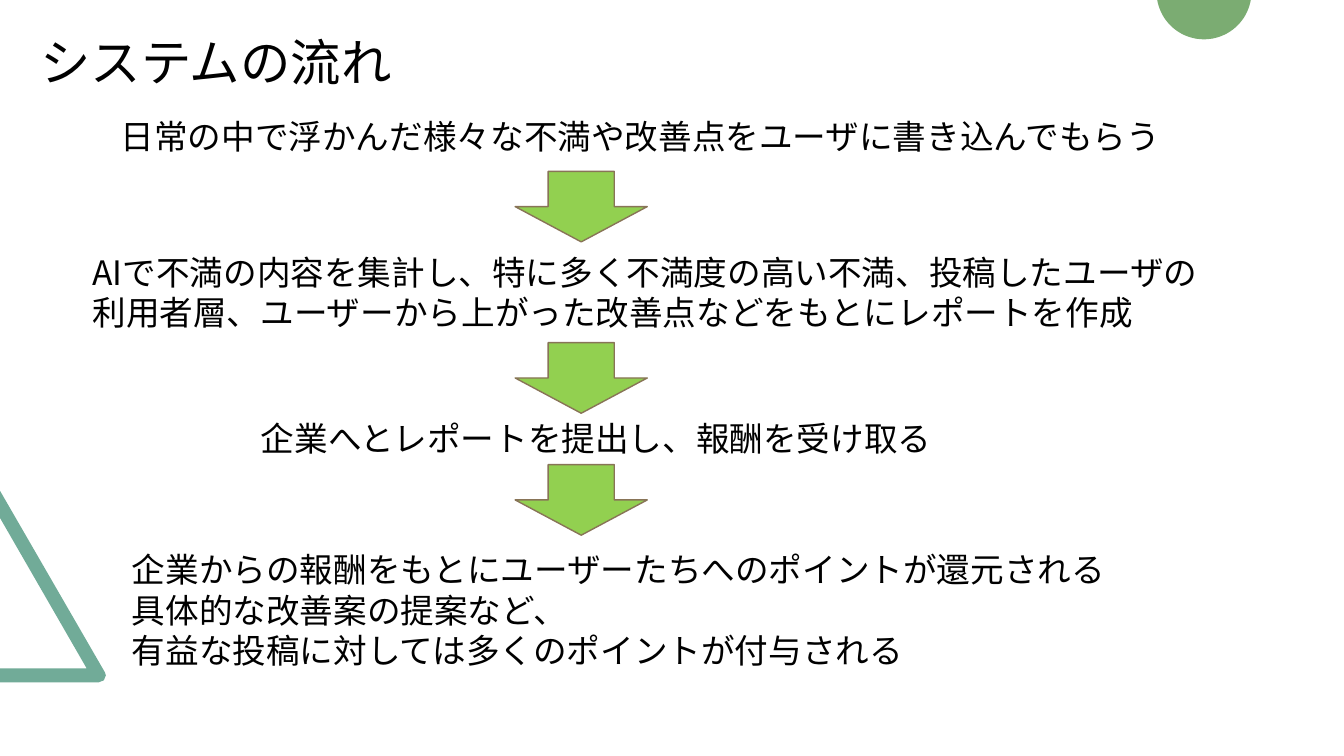
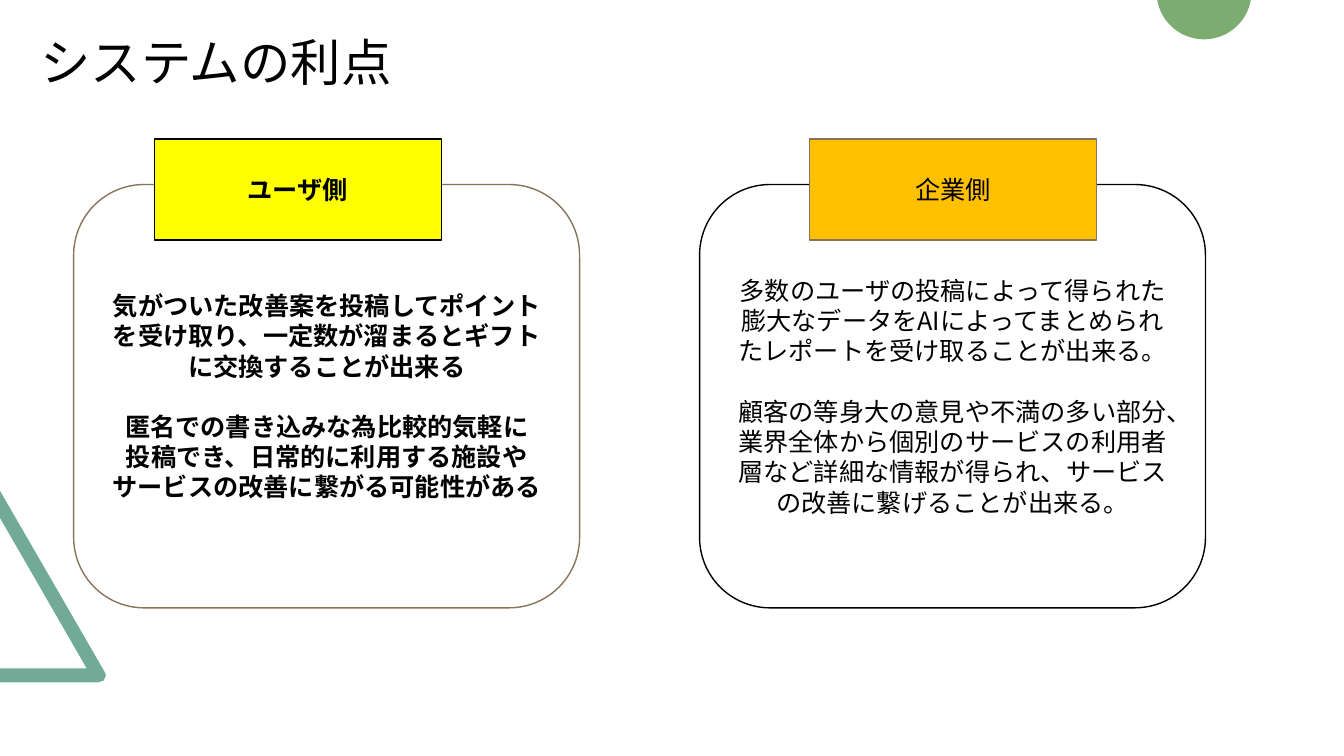
"""Build two slides on the flow and the benefits of a feedback system."""
import math
from dataclasses import dataclass

import lxml.etree
import pptx
import pptx.dml.color
import pptx.enum.shapes
import pptx.enum.text
import pptx.oxml.ns
import pptx.shapes.autoshape
import pptx.slide
import pptx.text.text
import pptx.util

Pt = pptx.util.Pt
SHAPE = pptx.enum.shapes.MSO_SHAPE
ALIGN = pptx.enum.text.PP_ALIGN
ANCHOR = pptx.enum.text.MSO_ANCHOR

FONT = "Noto Sans CJK JP"
BLACK, WHITE, BROWN = "000000", "FFFFFF", "887457"
TEAL, GREEN, LIME = "71AB98", "7BAC72", "92D050"
YELLOW, ORANGE = "FFFF00", "FFC000"
LEADING = 1.2

TRIANGLE = [(0, 487.4), (0, 477.4), (61.9, 477.4), (0, 370), (0, 350.6),
            (74.9, 480.2), (75.6, 482.4), (74.2, 486), (70.6, 487.4)]
DISC_X, DISC_Y, DISC_R = 860, -5.8, 33.9
ARROW_X, ARROW_W, ARROW_H = 368, 94.4, 50.4
CARD_Y, CARD_W, CARD_H = 131.8, 361.4, 302.4
TAB_Y, TAB_W, TAB_H = 99.4, 205.2, 72


@dataclass(frozen=True)
class Box:
    x: float
    y: float
    w: float
    h: float


@dataclass(frozen=True)
class Step:
    box: Box
    lines: list[str]


@dataclass(frozen=True)
class Card:
    x: float
    line: str
    tab_x: float
    tab_fill: str
    tab_line: str
    label: str
    lines: list[str]
    bold: bool


STEPS = [
    Step(Box(79.2, 79.2, 766, 36),
         ["日常の中で浮かんだ様々な不満や改善点をユーザに書き込んでもらう"]),
    Step(Box(59, 176.4, 808, 65.5),
         ["AIで不満の内容を集計し、特に多く不満度の高い不満、投稿したユーザの利用者層、"
          "ユーザーから上がった改善点などをもとにレポートを作成"]),
    Step(Box(179.3, 295.2, 565, 36),
         ["企業へとレポートを提出し、報酬を受け取る"]),
    Step(Box(87.1, 388.8, 808, 94.3),
         ["企業からの報酬をもとにユーザーたちへのポイントが還元される",
          "具体的な改善案の提案など、",
          "有益な投稿に対しては多くのポイントが付与される"]),
]
ARROW_TOPS = [122.4, 244.8, 331.9]

CARDS = [
    Card(52.6, BROWN, 110.2, YELLOW, BLACK, "ユーザ側",
         ["気がついた改善案を投稿してポイントを受け取り、一定数が溜まるとギフトに交換することが出来る",
          "匿名での書き込みな為比較的気軽に",
          "投稿でき、日常的に利用する施設や",
          "サービスの改善に繋がる可能性がある"], True),
    Card(499.7, BLACK, 578.2, ORANGE, BROWN, "企業側",
         ["多数のユーザの投稿によって得られた膨大なデータをAIによってまとめられた"
          "レポートを受け取ることが出来る。",
          "顧客の等身大の意見や不満の多い部分、業界全体から個別のサービスの利用者層など"
          "詳細な情報が得られ、サービスの改善に繋げることが出来る。"], False),
]


def rgb(color: str) -> pptx.dml.color.RGBColor:
    """Turn a hex string into a colour."""
    return pptx.dml.color.RGBColor.from_string(color)


def write(tf: pptx.text.text.TextFrame, lines: list[str], size: float,
          align: ALIGN = ALIGN.LEFT, anchor: ANCHOR = ANCHOR.TOP,
          bold: bool = False, first_gap: float = 0) -> None:
    """Write paragraphs, with an optional gap below the first one."""
    tf.word_wrap = True
    tf.auto_size = pptx.enum.text.MSO_AUTO_SIZE.NONE
    tf.vertical_anchor = anchor
    for i, line in enumerate(lines):
        p = tf.paragraphs[0] if i == 0 else tf.add_paragraph()
        p.text = line
        p.alignment = align
        p.line_spacing = Pt(size * LEADING)
        p.space_before = Pt(first_gap if i == 1 else 0)
        p.font.name = FONT
        p.font.size = Pt(size)
        p.font.bold = bold
        p.font.color.rgb = rgb(BLACK)
        props = p._p.pPr.find(pptx.oxml.ns.qn("a:defRPr"))
        lxml.etree.SubElement(props, pptx.oxml.ns.qn("a:ea"), typeface=FONT)


def add_shape(s: pptx.slide.Slide, kind: SHAPE, box: Box, fill: str,
              line: str) -> pptx.shapes.autoshape.Shape:
    """Add a flat preset shape with a thin outline."""
    sp = s.shapes.add_shape(kind, Pt(box.x), Pt(box.y), Pt(box.w), Pt(box.h))
    sp.shadow.inherit = False
    sp.fill.solid()
    sp.fill.fore_color.rgb = rgb(fill)
    sp.line.color.rgb = rgb(line)
    sp.line.width = Pt(1)
    return sp


def add_outline(s: pptx.slide.Slide, points: list[tuple[float, float]], fill: str) -> None:
    """Add a filled polygon without a line."""
    corners = [(Pt(x), Pt(y)) for x, y in points]
    builder = s.shapes.build_freeform(*corners[0], scale=1.0)
    builder.add_line_segments(corners[1:], close=True)
    sp = builder.convert_to_shape()
    sp.shadow.inherit = False
    sp.fill.solid()
    sp.fill.fore_color.rgb = rgb(fill)
    sp.line.fill.background()


def disc_points(count: int = 60) -> list[tuple[float, float]]:
    """Return the part of the disc below the top edge of the slide."""
    start = math.asin(-DISC_Y / DISC_R)
    angles = [start + (math.pi - 2 * start) * i / count for i in range(count + 1)]
    return [(DISC_X + DISC_R * math.cos(a), max(0, DISC_Y + DISC_R * math.sin(a)))
            for a in angles]


def add_slide(prs: pptx.presentation.Presentation, title: str) -> pptx.slide.Slide:
    """Add a slide with the shared decoration and title."""
    s = prs.slides.add_slide(prs.slide_layouts[5])
    add_outline(s, TRIANGLE, TEAL)
    add_outline(s, disc_points(), GREEN)
    sp = s.shapes.title
    sp.left, sp.top, sp.width, sp.height = Pt(21.6), Pt(18.7), Pt(392.4), Pt(51.1)
    write(sp.text_frame, [title], 36)
    return s


def add_step(s: pptx.slide.Slide, step: Step) -> None:
    """Add the text of one step of the flow."""
    box = step.box
    sp = s.shapes.add_textbox(Pt(box.x), Pt(box.y), Pt(box.w), Pt(box.h))
    write(sp.text_frame, step.lines, 24)


def add_card(s: pptx.slide.Slide, card: Card) -> None:
    """Add a rounded card with a label tab over its top edge."""
    body = add_shape(s, SHAPE.ROUNDED_RECTANGLE,
                     Box(card.x, CARD_Y, CARD_W, CARD_H), WHITE, card.line)
    tab = add_shape(s, SHAPE.RECTANGLE,
                    Box(card.tab_x, TAB_Y, TAB_W, TAB_H), card.tab_fill, card.tab_line)
    for sp, lines in ((body, card.lines), (tab, [card.label])):
        write(sp.text_frame, lines, 18, ALIGN.CENTER, ANCHOR.MIDDLE, card.bold, 21.6)


def main() -> None:
    """Build and save the presentation."""
    prs = pptx.Presentation()
    prs.slide_width, prs.slide_height = Pt(960), Pt(540)

    s = add_slide(prs, "システムの流れ")
    for step in STEPS:
        add_step(s, step)
    for top in ARROW_TOPS:
        add_shape(s, SHAPE.DOWN_ARROW, Box(ARROW_X, top, ARROW_W, ARROW_H), LIME, BROWN)

    s = add_slide(prs, "システムの利点")
    for card in CARDS:
        add_card(s, card)

    prs.save("out.pptx")


if __name__ == "__main__":
    main()
